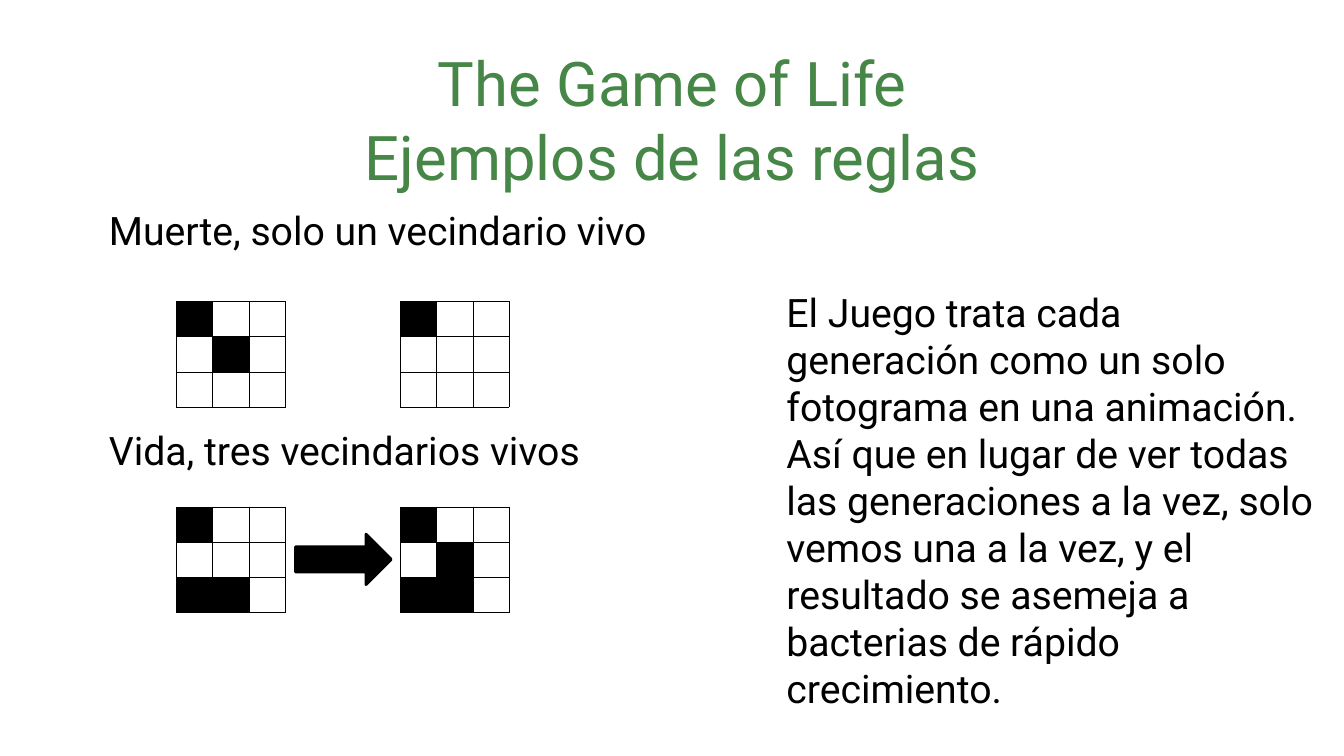
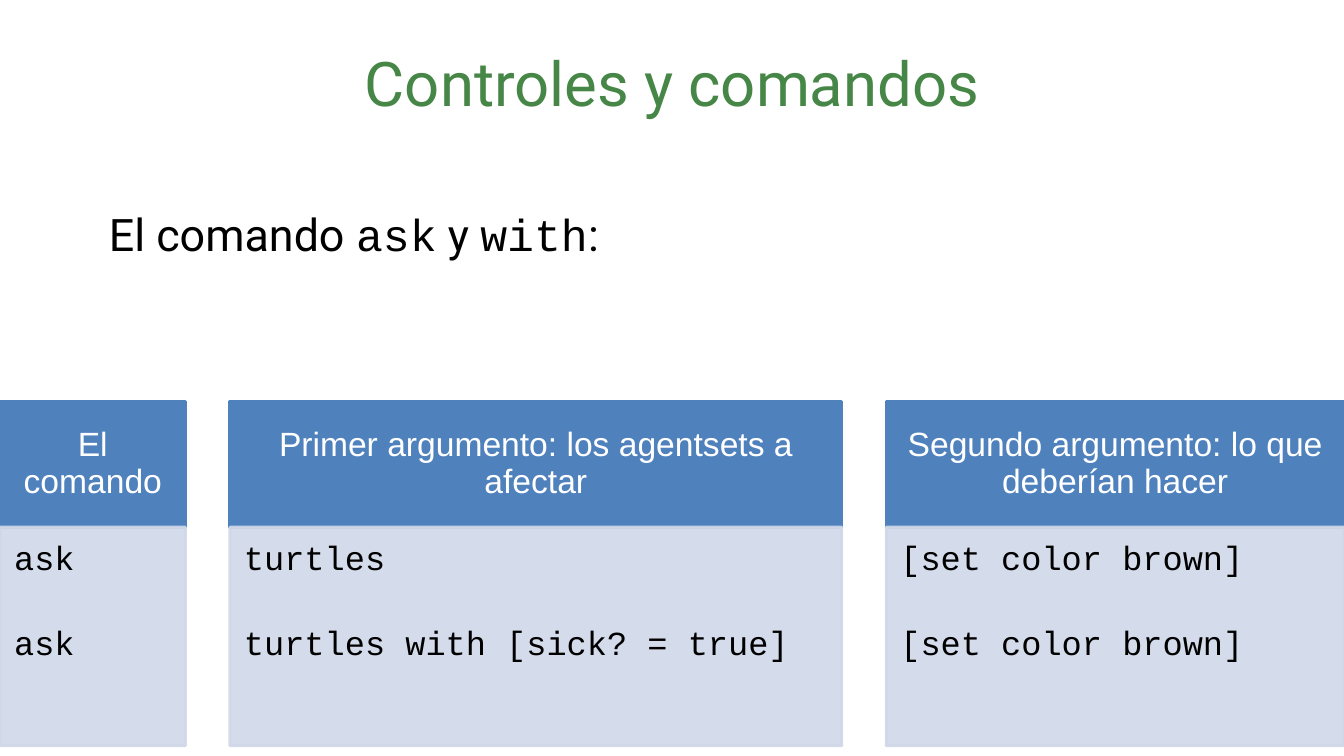
import lxml.etree
import pptx
import pptx.dml.color
import pptx.enum.shapes
import pptx.enum.text
import pptx.oxml.ns
import pptx.util

Inches = pptx.util.Inches
Pt = pptx.util.Pt
ALIGN = pptx.enum.text.PP_ALIGN
ANCHOR = pptx.enum.text.MSO_ANCHOR
SHAPES = pptx.enum.shapes.MSO_SHAPE

GREEN, BLACK, WHITE = "468646", "000000", "FFFFFF"
HEADER_BLUE, PANEL_BLUE = "4F81BD", "D0D8E8"
MAIN_FONT, CODE_FONT, HEADER_FONT = "Roboto", "Courier New", "Arial"
BODY_INSETS = (0.16, 0.05, 0.1, 0.05)


def color(hex_value):
    """Return the RGB colour for a hex string."""
    return pptx.dml.color.RGBColor.from_string(hex_value)


def add_element(parent, tag, **attributes):
    """Append a drawing element to a parent and return it."""
    return lxml.etree.SubElement(parent, pptx.oxml.ns.qn(tag), **attributes)


def write_text(shape, paragraphs, size=28, font=MAIN_FONT, text_color=BLACK,
               align=ALIGN.LEFT, anchor=ANCHOR.TOP, insets=(0.1, 0.05, 0.1, 0.05),
               line_spacing=1.0, gap=0):
    """Write paragraphs, each a string or a list of (text, font) pairs."""
    frame = shape.text_frame
    frame.word_wrap = True
    frame.vertical_anchor = anchor
    (frame.margin_left, frame.margin_top,
     frame.margin_right, frame.margin_bottom) = map(Inches, insets)
    for index, content in enumerate(paragraphs):
        paragraph = frame.add_paragraph() if index else frame.paragraphs[0]
        paragraph.alignment = align
        paragraph.line_spacing = line_spacing
        if index:
            paragraph.space_before = Pt(gap)
        for text, face in [(content, font)] if isinstance(content, str) else content:
            for number, line in enumerate(text.split("\v")):
                if number:
                    paragraph.add_line_break()
                run = paragraph.add_run()
                run.text = line
                run.font.name = face
                run.font.size = Pt(size)
                run.font.color.rgb = color(text_color)


def add_text(slide, box, paragraphs, **text_format):
    """Add a text box in a left, top, width, height box."""
    shape = slide.shapes.add_textbox(*map(Inches, box))
    write_text(shape, paragraphs, **text_format)


def add_block(slide, kind, box, fill, opacity=100):
    """Add a preset shape whose fill and outline share one colour."""
    shape = slide.shapes.add_shape(kind, *map(Inches, box))
    shape.shadow.inherit = False
    shape.line.width = Pt(2)
    for paint in (shape.fill, shape.line.fill):
        paint.solid()
        paint.fore_color.rgb = color(fill)
    if opacity < 100:
        for value in shape.element.spPr.iter(pptx.oxml.ns.qn("a:srgbClr")):
            add_element(value, "a:alpha", val=str(opacity * 1000))
    return shape


def add_titled_slide(presentation, title):
    """Add a blank slide with the shared title style."""
    slide = presentation.slides.add_slide(presentation.slide_layouts[6])
    add_text(slide, (0.92, 0.4, 11.5, 1.45), [title], size=44, text_color=GREEN,
             align=ALIGN.CENTER)
    return slide


def add_border(cell):
    """Draw a thin black border on all sides of a cell."""
    properties = cell._tc.get_or_add_tcPr()
    for side in ("a:lnL", "a:lnR", "a:lnT", "a:lnB"):
        line = add_element(properties, side, w=str(Pt(0.5)))
        add_element(add_element(line, "a:solidFill"), "a:srgbClr", val=BLACK)


def add_neighborhood(slide, left, top, pattern):
    """Add a cell grid in which each # of the pattern is a live cell."""
    rows, columns = len(pattern), len(pattern[0])
    width, height = 0.36, 0.35
    table = slide.shapes.add_table(
        rows, columns, Inches(left), Inches(top),
        Inches(columns * width), Inches(rows * height)).table
    table.first_row = table.horz_banding = False
    for row, marks in enumerate(pattern):
        for column, mark in enumerate(marks):
            cell = table.cell(row, column)
            cell.margin_left = cell.margin_right = 0
            cell.margin_top = cell.margin_bottom = 0
            add_border(cell)
            if mark == "#":
                cell.fill.solid()
                cell.fill.fore_color.rgb = color(BLACK)
            else:
                cell.fill.background()


def add_rule(slide, left, top, caption, grids_top, before, after):
    """Add a rule's caption with its grids before and after."""
    add_text(slide, (left, top, 5.89, 0.6), [caption], insets=BODY_INSETS)
    add_neighborhood(slide, left + 0.83, top + grids_top, before)
    add_neighborhood(slide, left + 3.05, top + grids_top, after)


def add_command_column(slide, box, header, commands):
    """Add a column with a header above a panel of commands."""
    left, top, width, height = box
    header_height = 1.25
    heading = add_block(slide, SHAPES.RECTANGLE, (left, top, width, header_height),
                        HEADER_BLUE)
    write_text(heading, [header], size=24, font=HEADER_FONT, text_color=WHITE,
               align=ALIGN.CENTER, anchor=ANCHOR.MIDDLE,
               insets=(0.19, 0.11, 0.19, 0.11), line_spacing=0.9)
    panel = add_block(slide, SHAPES.RECTANGLE,
                      (left, top + header_height, width, height - header_height),
                      PANEL_BLUE, opacity=90)
    write_text(panel, commands, size=24, font=CODE_FONT,
               insets=(0.14, 0.14, 0.19, 0.21), line_spacing=0.9, gap=35)


def build_rules_slide(presentation):
    """Build the slide with examples of the rules."""
    slide = add_titled_slide(presentation, "The Game of Life\vEjemplos de las reglas")
    add_rule(slide, 0.92, 2, "Muerte, solo un vecindario vivo", 0.99,
             ("#..", ".#.", "..."), ("#..", "...", "..."))
    add_rule(slide, 0.92, 4.18, "Vida, tres vecindarios vivos", 0.85,
             ("#..", "...", "##."), ("#..", ".#.", "##."))
    add_block(slide, SHAPES.RIGHT_ARROW, (2.93, 5.3, 0.95, 0.5), BLACK)
    add_text(slide, (7.64, 2.81, 5.51, 4.48), [
        "El Juego trata cada generación como un solo fotograma en una animación. "
        "Así que en lugar de ver todas las generaciones a la vez, solo vemos una a "
        "la vez, y el resultado se asemeja a bacterias de rápido crecimiento."],
        insets=BODY_INSETS)


def build_commands_slide(presentation):
    """Build the slide that explains the ask and with commands."""
    slide = add_titled_slide(presentation, "Controles y comandos")
    add_text(slide, (0.92, 2, 11.5, 0.7), [[
        ("El comando ", MAIN_FONT), ("ask", CODE_FONT), (" y ", MAIN_FONT),
        ("with", CODE_FONT), (":", MAIN_FONT)]], size=32, insets=BODY_INSETS)
    left, gap = 0, 0.44
    for width, header, commands in (
            (1.84, "El comando", ["ask", "ask"]),
            (6.07, "Primer argumento: los agentsets a afectar",
             ["turtles", "turtles with [sick? = true]"]),
            (4.54, "Segundo argumento: lo que deberían hacer",
             ["[set color brown]"] * 2)):
        add_command_column(slide, (left, 3.98, width, 3.42), header, commands)
        left += width + gap


def main():
    """Build and save the presentation."""
    presentation = pptx.Presentation()
    presentation.slide_width = Inches(13.33)
    presentation.slide_height = Inches(7.5)
    build_rules_slide(presentation)
    build_commands_slide(presentation)
    presentation.save("out.pptx")


if __name__ == "__main__":
    main()
